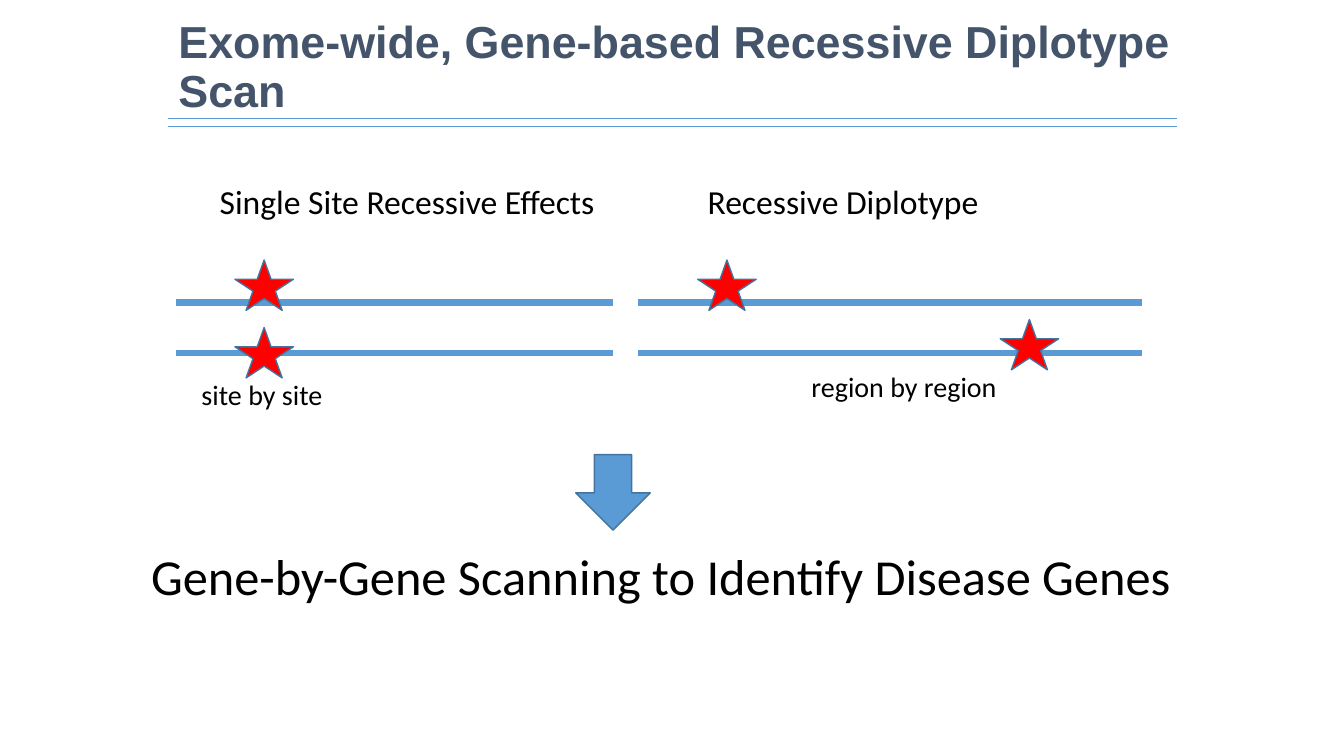
from lxml import etree
from pptx import Presentation
from pptx import util as u
from pptx.dml.color import RGBColor
from pptx.enum import shapes, text
from pptx.oxml.ns import qn


def tint(code):
    return RGBColor.from_string(code)


class Deck:
    """Hold the style and the current slide, and draw each kind of element."""

    blue, edge, red = "5B9BD5", "43739E", "FF0000"
    ink, navy = "000000", "44546A"
    face, head = "Calibri", "Arial"

    def __init__(self):
        self.prs = Presentation()
        self.prs.slide_width = u.Inches(13.33)
        self.prs.slide_height = u.Inches(7.5)
        self.slide = self.prs.slides.add_slide(self.prs.slide_layouts[5])

    def add_text(self, para, words, size, face, color, bold=False):
        run = para.add_run()
        run.text = words
        font = run.font
        font.size, font.name, font.bold = u.Pt(size), face, bold
        font.color.rgb = tint(color)

    def title(self, words, *box):
        shape = self.slide.shapes.title
        shape.left, shape.top, shape.width, shape.height = map(u.Inches, box)
        frame = shape.text_frame
        frame.word_wrap = True
        frame.auto_size = text.MSO_AUTO_SIZE.NONE
        frame.vertical_anchor = text.MSO_ANCHOR.MIDDLE
        para = frame.paragraphs[0]
        para.alignment = text.PP_ALIGN.LEFT
        para.line_spacing = 0.9
        self.add_text(para, words, 32, self.head, self.navy, True)

    def label(self, words, size, *box):
        frame = self.slide.shapes.add_textbox(*map(u.Inches, box)).text_frame
        frame.word_wrap = False
        frame.auto_size = text.MSO_AUTO_SIZE.SHAPE_TO_FIT_TEXT
        self.add_text(frame.paragraphs[0], words, size, self.face, self.ink)

    def rule(self, left, right, top, width):
        line = self.slide.shapes.add_connector(
            shapes.MSO_CONNECTOR.STRAIGHT,
            *map(u.Inches, (left, top, right, top)))
        line.line.color.rgb = tint(self.blue)
        line.line.width = u.Pt(width)
        etree.SubElement(line._element.spPr, qn("a:effectLst"))

    def form(self, kind, fill, *box):
        shape = self.slide.shapes.add_shape(kind, *map(u.Inches, box))
        shape.shadow.inherit = False
        shape.fill.solid()
        shape.fill.fore_color.rgb = tint(fill)
        shape.line.color.rgb = tint(self.edge)
        shape.line.width = u.Pt(1)

    def star(self, left, top):
        self.form(shapes.MSO_SHAPE.STAR_5_POINT, self.red,
                  left, top, 0.58, 0.5)

    def strands(self, left, right, stars):
        for top in (3, 3.5):
            self.rule(left, right, top, 4.5)
        for spot in stars:
            self.star(*spot)


def main():
    deck = Deck()
    deck.title("Exome-wide, Gene-based Recessive Diplotype Scan",
               1.67, 0.08, 10.77, 1.2)
    for top in (1.17, 1.25):
        deck.rule(1.67, 11.67, top, 0.5)

    deck.label("Single Site Recessive Effects", 24, 2.08, 1.75, 3.96, 0.5)
    deck.strands(1.75, 6.08, [(2.33, 2.58), (2.33, 3.25)])
    deck.label("site by site", 20, 1.9, 3.7, 1.41, 0.44)

    deck.label("Recessive Diplotype", 24, 6.92, 1.75, 2.92, 0.5)
    deck.strands(6.33, 11.33, [(6.92, 2.58), (9.92, 3.17)])
    deck.label("region by region", 20, 7.95, 3.62, 2.05, 0.44)

    deck.form(shapes.MSO_SHAPE.DOWN_ARROW, deck.blue, 5.71, 4.51, 0.74, 0.75)
    deck.label("Gene-by-Gene Scanning to Identify Disease Genes", 36,
               1.4, 5.36, 10.52, 0.71)
    deck.prs.save("out.pptx")


if __name__ == "__main__":
    main()
